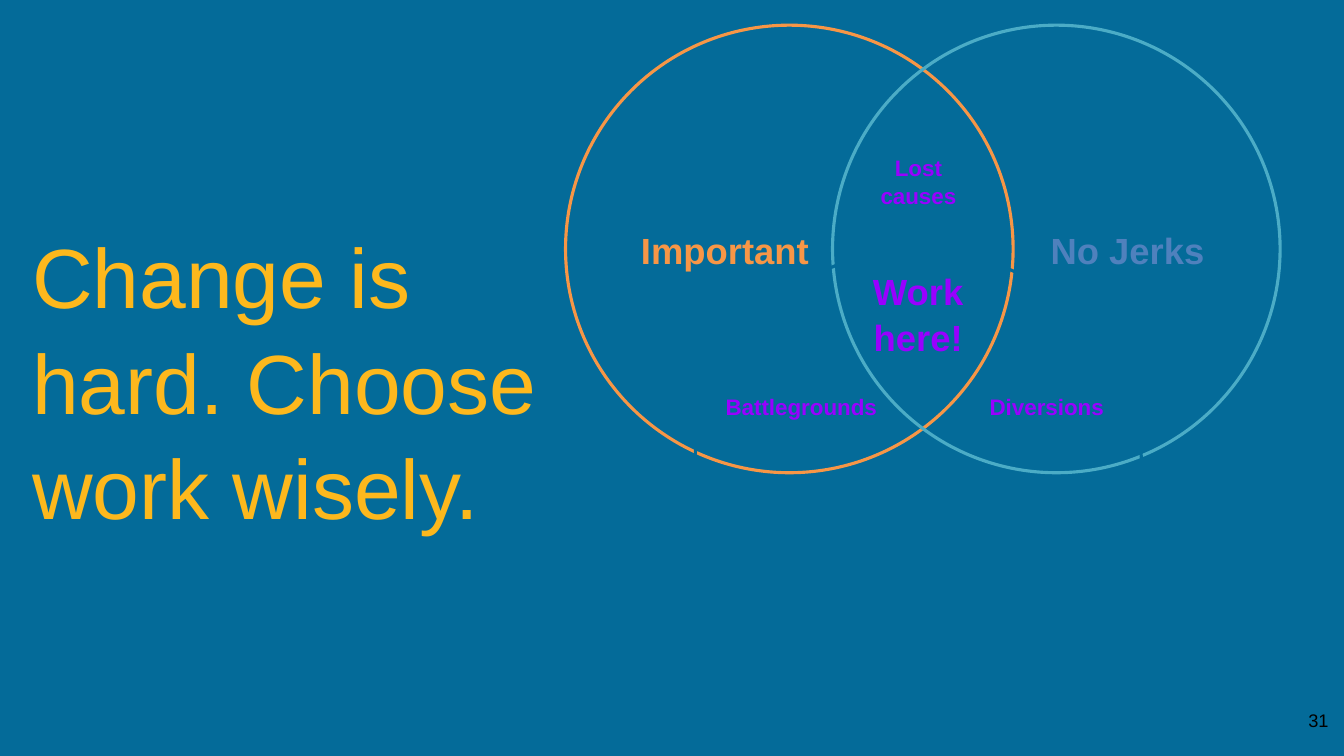
from pptx import Presentation
from pptx.dml.color import RGBColor
from pptx.enum.shapes import MSO_SHAPE
from pptx.enum.text import MSO_ANCHOR, MSO_AUTO_SIZE, PP_ALIGN
from pptx.util import Pt

BLUE = RGBColor(0x04, 0x6B, 0x99)
GOLD = RGBColor(0xFD, 0xB8, 0x1D)
ORANGE = RGBColor(0xF7, 0x96, 0x46)
TEAL = RGBColor(0x4B, 0xAC, 0xC6)
STEEL = RGBColor(0x4F, 0x81, 0xBD)
PURPLE = RGBColor(0x99, 0x00, 0xFF)
BLACK = RGBColor(0, 0, 0)


def place(shape, left, top, width, height):
    shape.left, shape.top = Pt(left), Pt(top)
    shape.width, shape.height = Pt(width), Pt(height)


def write(shape, lines, size, color, align, bold=True, inset=7.2,
          anchor=MSO_ANCHOR.MIDDLE):
    frame = shape.text_frame
    frame.word_wrap = True
    frame.auto_size = MSO_AUTO_SIZE.NONE
    frame.vertical_anchor = anchor
    frame.margin_left = frame.margin_right = Pt(inset)
    frame.margin_top = frame.margin_bottom = Pt(inset)
    for i, line in enumerate(lines):
        para = frame.add_paragraph() if i else frame.paragraphs[0]
        para.alignment = align
        para.line_spacing = 1.05
        run = para.add_run()
        run.text = line
        font = run.font
        font.name, font.size, font.bold = "Arial", Pt(size), bold
        font.color.rgb = color


deck = Presentation()
deck.slide_width, deck.slide_height = Pt(960), Pt(540)
slide = deck.slides.add_slide(deck.slide_layouts[5])
slide.background.fill.solid()
slide.background.fill.fore_color.rgb = BLUE

# Title panel
title = slide.shapes.title
place(title, 0, 0, 392, 540)
title.fill.solid()
title.fill.fore_color.rgb = BLUE
write(title, ["Change is hard. Choose work wisely."], 60, GOLD,
      PP_ALIGN.LEFT, bold=False, inset=5)
props = title.text_frame.paragraphs[0]._p.get_or_add_pPr()
props.set("marL", str(Pt(18)))
props.set("indent", "0")

# Slide number
number = slide.shapes.add_textbox(Pt(898.5), Pt(499), Pt(57.6), Pt(41))
write(number, ["31"], 13, BLACK, PP_ALIGN.RIGHT, bold=False,
      anchor=MSO_ANCHOR.TOP)

# Venn circles; the lowest one has the background colour
SIZE = 319.7
circles = [
    (404, 18, ORANGE, "Important", ORANGE, PP_ALIGN.LEFT),
    (594.7, 18, TEAL, "No Jerks", STEEL, PP_ALIGN.RIGHT),
    (496, 178.5, BLUE, None, None, None),
]
for left, top, edge, name, color, align in circles:
    ring = slide.shapes.add_shape(
        MSO_SHAPE.OVAL, Pt(left), Pt(top), Pt(SIZE), Pt(SIZE))
    ring.shadow.inherit = False
    ring.fill.background()
    ring.line.color.rgb = edge
    ring.line.width = Pt(2.25)
    if name:
        write(ring, [name], 26, color, align)

# Labels in the overlaps
labels = [
    (613.5, 93.6, 85, ["Lost", "causes"], 16),
    (698.4, 254.9, 98.6, ["Diversions"], 16),
    (504, 254.9, 136.8, ["Battlegrounds"], 16),
    (587.5, 188, 136.8, ["Work", "here!"], 26),
]
for left, top, width, lines, size in labels:
    box = slide.shapes.add_textbox(Pt(left), Pt(top), Pt(width), Pt(70.6))
    write(box, lines, size, PURPLE, PP_ALIGN.CENTER)

deck.save("out.pptx")
